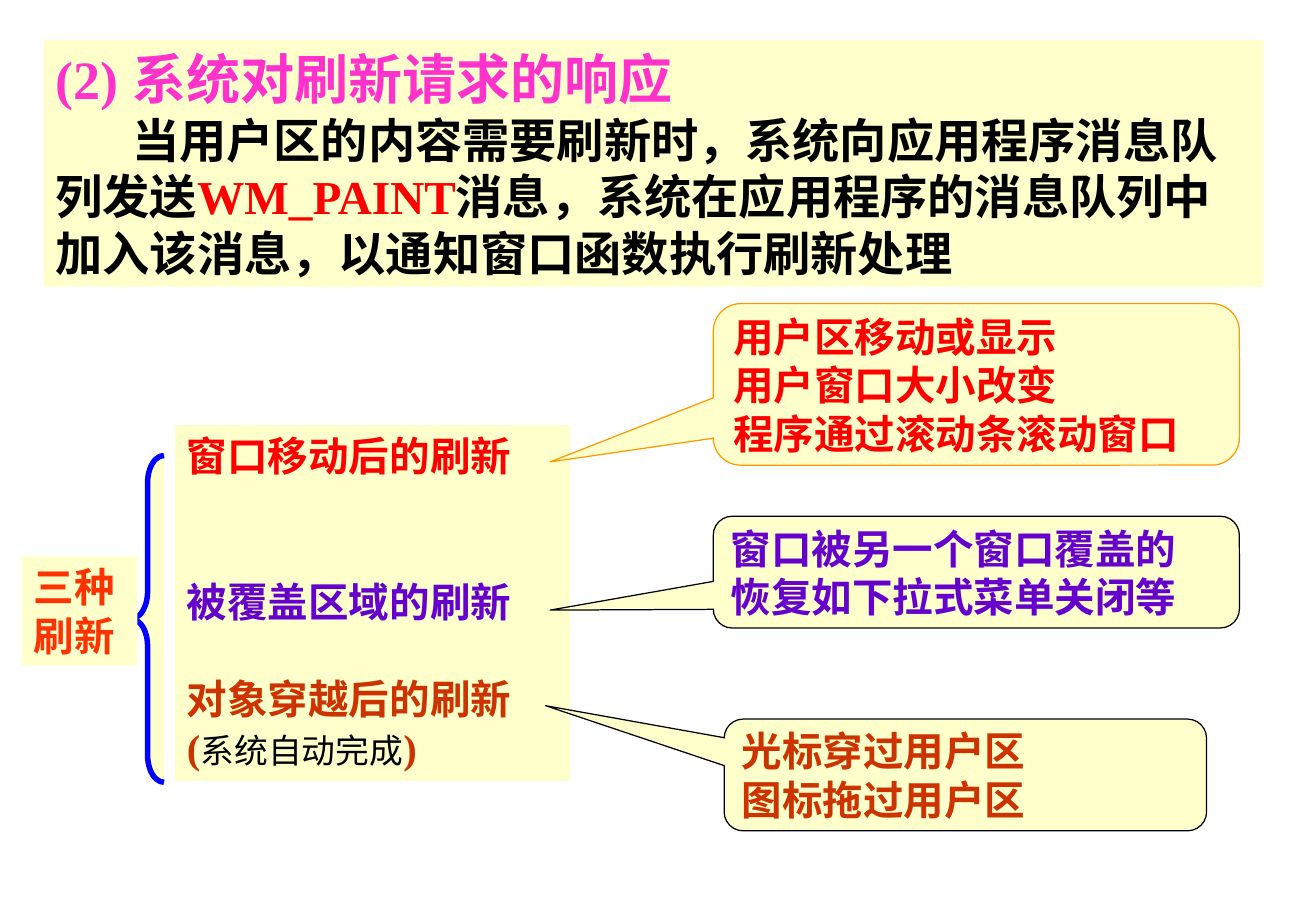
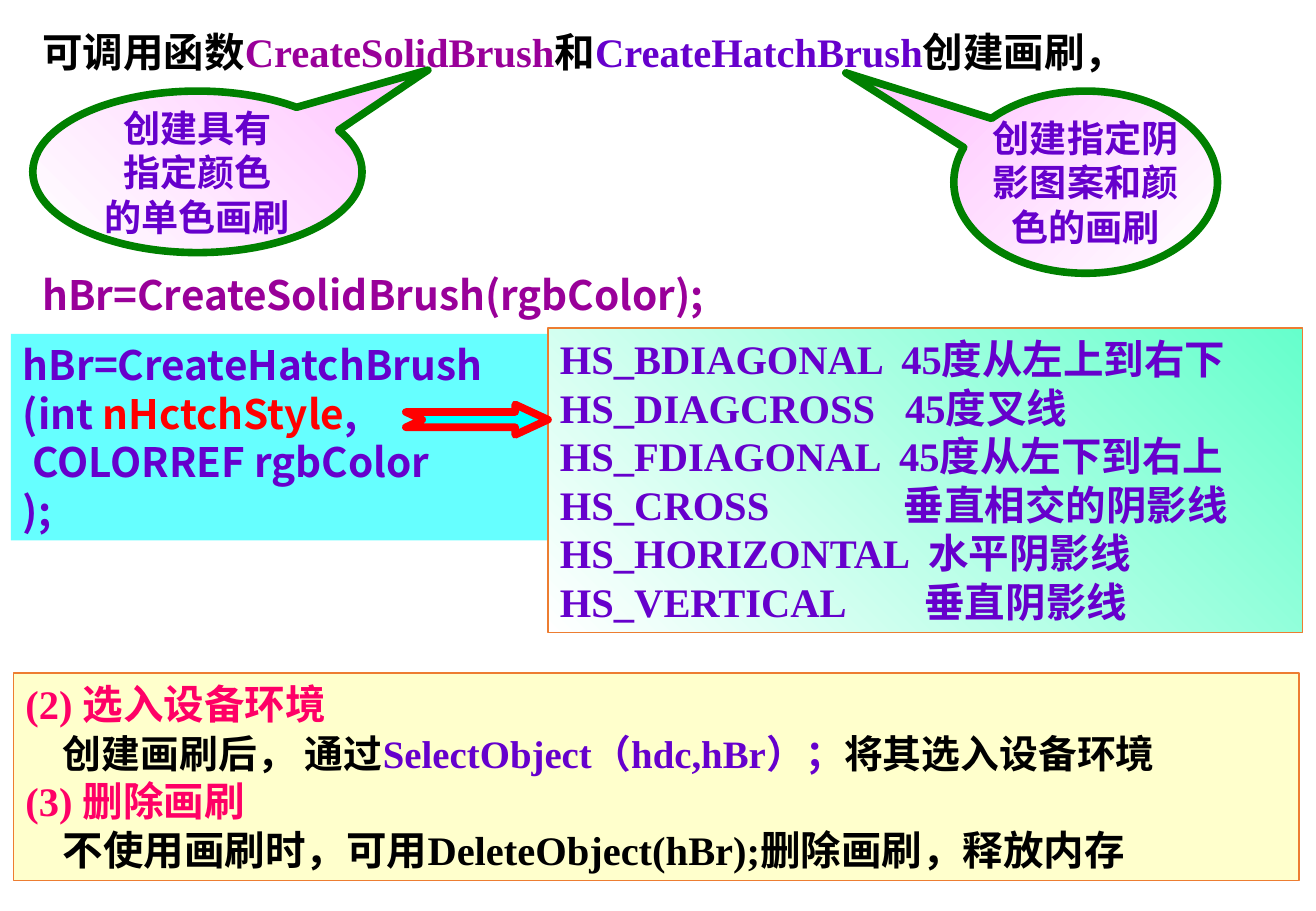
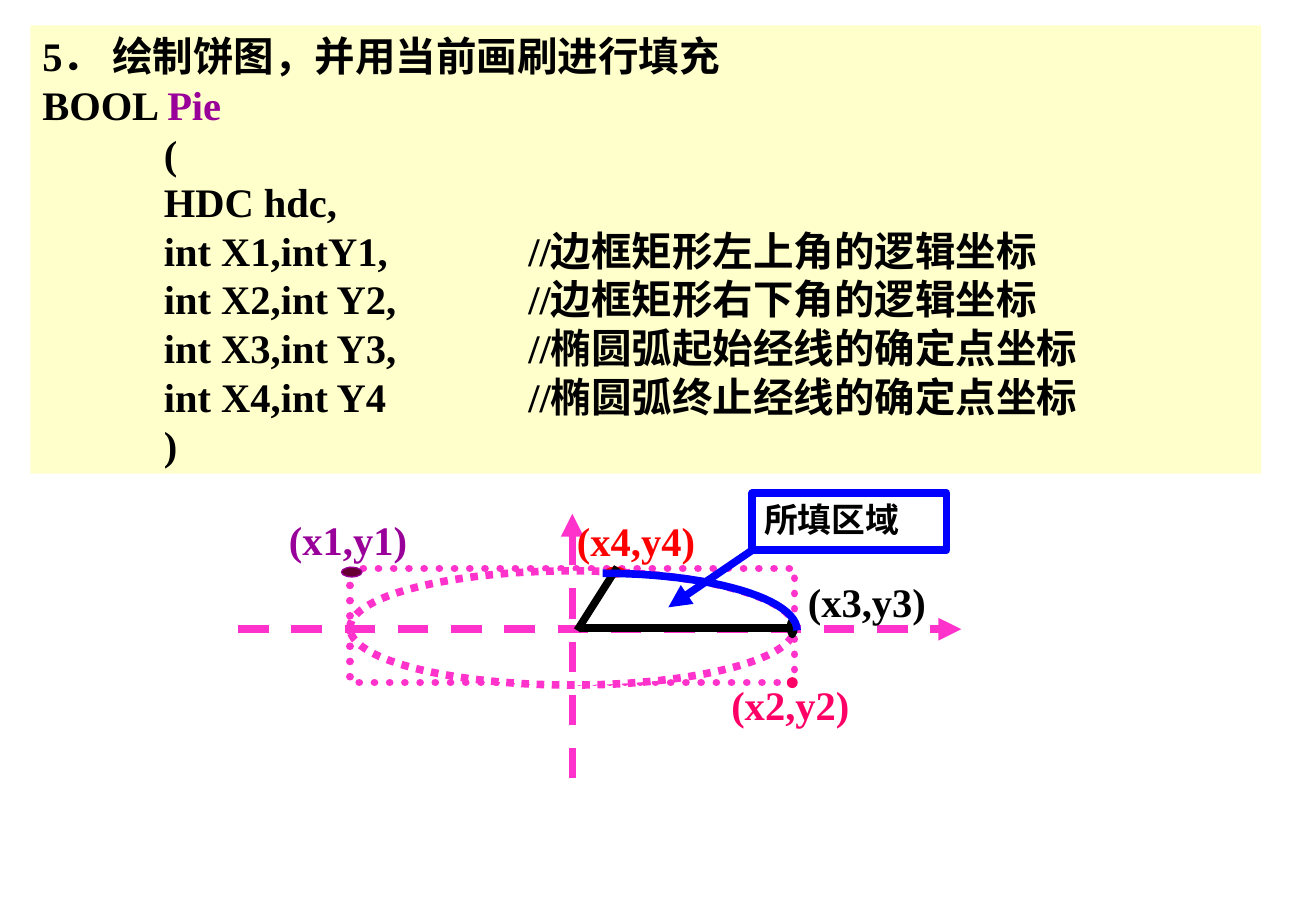
"""Build three lesson slides on window repainting, brushes and pie drawing."""
from math import cos, pi, sin

from lxml.etree import SubElement
from pptx import Presentation
from pptx.dml.color import RGBColor
from pptx.enum.dml import MSO_LINE
from pptx.enum.shapes import MSO_CONNECTOR, MSO_SHAPE
from pptx.enum.text import MSO_ANCHOR, PP_ALIGN
from pptx.oxml.ns import qn
from pptx.util import Pt

PX = 9144
SERIF = "Times New Roman"
SANS = "Noto Sans CJK SC"
BLACK = RGBColor(0x00, 0x00, 0x00)
WHITE = RGBColor(0xFF, 0xFF, 0xFF)
CREAM = RGBColor(0xFF, 0xFF, 0xCC)
RED = RGBColor(0xFF, 0x00, 0x00)
BLUE = RGBColor(0x00, 0x00, 0xFF)
GREEN = RGBColor(0x00, 0x80, 0x00)
PINK = RGBColor(0xFF, 0x33, 0xCC)
ROSE = RGBColor(0xFF, 0x00, 0x66)
BLUSH = RGBColor(0xFF, 0xCC, 0xFF)
PURPLE = RGBColor(0x66, 0x00, 0xCC)
PLUM = RGBColor(0x99, 0x00, 0x99)
WINE = RGBColor(0x66, 0x00, 0x33)
RUST = RGBColor(0xCC, 0x33, 0x00)
FLAME = RGBColor(0xFF, 0x33, 0x00)
AMBER = RGBColor(0xFF, 0x99, 0x00)
ORANGE = RGBColor(0xED, 0x7D, 0x31)
CYAN = RGBColor(0x00, 0xFF, 0xFF)
SKY = RGBColor(0x66, 0xFF, 0xFF)
MINT = RGBColor(0x66, 0xFF, 0xCC)


class Deck:
    """Hold the shared style and the current slide."""

    def __init__(self):
        self.show = Presentation()
        self.show.slide_width, self.show.slide_height = 1083 * PX, 750 * PX
        self.slide = None

    def page(self):
        """Start a blank slide."""
        self.slide = self.show.slides.add_slide(self.show.slide_layouts[6])

    def stroke(self, item, color, width, dash=None):
        """Set the outline of an item."""
        item.line.color.rgb = color
        item.line.width = Pt(width)
        if dash:
            item.line.dash_style = dash

    def box(self, at, fill=None, line=None, width=0.75, kind=MSO_SHAPE.RECTANGLE,
            adjust=(), dash=None, middle=False, wrap=True):
        """Add a shape; a fill of two colours and an angle is a gradient."""
        shape = self.slide.shapes.add_shape(kind, *(n * PX for n in at))
        shape.shadow.inherit = False
        for index, value in enumerate(adjust):
            shape.adjustments[index] = value
        if fill is None:
            shape.fill.background()
        elif isinstance(fill, RGBColor):
            shape.fill.solid()
            shape.fill.fore_color.rgb = fill
        else:
            shape.fill.gradient()
            shape.fill.gradient_angle = fill[2]
            for stop, color in zip(shape.fill.gradient_stops, fill):
                stop.color.rgb = color
        if line is None:
            shape.line.fill.background()
        else:
            self.stroke(shape, line, width, dash)
        frame = shape.text_frame
        frame.word_wrap = wrap
        frame.vertical_anchor = MSO_ANCHOR.MIDDLE if middle else MSO_ANCHOR.TOP
        return shape

    def text(self, box, *runs, size=24, font=SERIF, gap=0, indent=0, stops=(),
             align=PP_ALIGN.LEFT, pitch=1.2):
        """Add a paragraph; a run is text, colour, then size and weight."""
        frame = box.text_frame
        par = frame.paragraphs[0]
        if par.runs:
            par = frame.add_paragraph()
        props = par._p.get_or_add_pPr()
        if indent:
            props.set("marL", "0")
            props.set("indent", str(indent * PX))
        if stops:
            tabs = SubElement(props, qn("a:tabLst"))
            for stop in stops:
                SubElement(tabs, qn("a:tab"), pos=str(stop * PX), algn="l")
        par.alignment = align
        par.line_spacing = Pt(round(size * pitch, 1))
        par.space_before = Pt(gap)
        for words, color, *look in runs:
            run = par.add_run()
            run.text = words
            run.font.size = Pt(look[0] if look else size)
            run.font.bold = look[1] if len(look) > 1 else True
            run.font.color.rgb = color
            run.font.name = font
            SubElement(run.font._element, qn("a:ea"), typeface=SANS)

    def lines(self, box, texts, color, **look):
        """Add one paragraph of one colour for each text."""
        for words in texts:
            self.text(box, (words, color), **look)

    def link(self, x1, y1, x2, y2, color, dash=None, end=None):
        """Add a thick straight line, with an arrowhead at the named end."""
        line = self.slide.shapes.add_connector(
            MSO_CONNECTOR.STRAIGHT, x1 * PX, y1 * PX, x2 * PX, y2 * PX)
        self.stroke(line, color, 4.5, dash)
        props = line._element.spPr
        if end:
            SubElement(props.find(qn("a:ln")), qn(end), type="triangle")
        SubElement(props, qn("a:effectLst"))

    def curve(self, x, y, wide, high, color, steps=24):
        """Add a quarter of an ellipse around a centre."""
        turns = [pi / 2 * n / steps for n in range(steps + 1)]
        spots = [(round((x + wide * sin(t)) * PX), round((y - high * cos(t)) * PX))
                 for t in turns]
        trace = self.slide.shapes.build_freeform(*spots[0])
        trace.add_line_segments(spots[1:], close=False)
        arc = trace.convert_to_shape()
        arc.shadow.inherit = False
        arc.fill.background()
        self.stroke(arc, color, 4.5)

    def label(self, x, y, words, color):
        """Add the name of a point."""
        box = self.box((x, y, 117, 42), wrap=False)
        self.text(box, (words, color), pitch=0.96)


def refresh(deck):
    """Show how the system answers a repaint request."""
    deck.page()
    head = deck.box((36, 33, 1004, 203), CREAM)
    deck.text(head, ("(2) 系统对刷新请求的响应", PINK), size=32)
    deck.text(head, ("当用户区的内容需要刷新时，系统向应用程序消息队列发送", BLACK),
              ("WM_PAINT", RED),
              ("消息，系统在应用程序的消息队列中加入该消息，以通知窗口函数执行刷新处理", BLACK),
              size=28, indent=63)
    deck.box((108, 375, 27, 269), CREAM, BLUE, 3.25, MSO_SHAPE.LEFT_BRACE, (0.83, 0.5))
    deck.lines(deck.box((18, 458, 95, 90), CREAM), ("三种", "刷新"), FLAME)
    kinds = deck.box((144, 350, 325, 293), CREAM)
    deck.text(kinds, ("窗口移动后的刷新", RED))
    deck.text(kinds, ("被覆盖区域的刷新", PURPLE), gap=57.6)
    deck.text(kinds, ("对象穿越后的刷新", RUST), gap=28.8)
    deck.text(kinds, ("(", RUST), ("系统自动完成", BLACK, 20, False), (")", RUST))
    notes = (
        ((587, 250, 433, 133), (-0.81, 0.48), AMBER, RED,
         ("用户区移动或显示", "用户窗口大小改变", "程序通过滚动条滚动窗口")),
        ((587, 425, 433, 92), (-0.81, 0.34), BLACK, PURPLE,
         ("窗口被另一个窗口覆盖的", "恢复如下拉式菜单关闭等")),
        ((596, 592, 397, 92), (-0.87, -0.62), BLACK, RUST,
         ("光标穿过用户区", "图标拖过用户区")),
    )
    for at, tip, line, color, texts in notes:
        note = deck.box(at, CREAM, line, kind=MSO_SHAPE.ROUNDED_RECTANGULAR_CALLOUT,
                        adjust=(*tip, 0.17), middle=True)
        deck.lines(note, texts, color)


def brush(deck):
    """Show how a brush is made, selected and deleted."""
    deck.page()
    head = deck.box((25, 17, 1031, 250), WHITE)
    deck.text(head, ("可调用函数", BLACK), ("CreateSolidBrush", PLUM), ("和", BLACK),
              ("CreateHatchBrush", PURPLE), ("创建画刷，", BLACK))
    deck.text(head, ("hBr=CreateSolidBrush(rgbColor);", PLUM), font=SANS, gap=115.2)
    clouds = (
        ((27, 75, 271, 133), (0.7, -0.63), (WHITE, BLUSH, 45),
         ("创建具有", "指定颜色", "的单色画刷")),
        ((785, 75, 217, 150), (-0.91, -0.6), (BLUSH, WHITE, 315),
         ("创建指定阴", "影图案和颜", "色的画刷")),
    )
    for at, tip, fill, texts in clouds:
        cloud = deck.box(at, fill, GREEN, 4.5, MSO_SHAPE.OVAL_CALLOUT, tip,
                         middle=True, wrap=False)
        deck.lines(cloud, texts, PURPLE, size=22, align=PP_ALIGN.CENTER)
    steps = deck.box((11, 554, 1058, 171), CREAM, ORANGE)
    deck.text(steps, ("(2) 选入设备环境", ROSE))
    deck.text(steps, ("创建画刷后， 通过", BLACK, 23),
              ("SelectObject（hdc,hBr）；", PURPLE, 23),
              ("将其选入设备环境", BLACK, 23), indent=31)
    deck.text(steps, ("(3) 删除画刷", ROSE))
    deck.text(steps, ("不使用画刷时，可用DeleteObject(hBr);删除画刷，释放内存", BLACK),
              indent=31)
    code = deck.box((9, 275, 455, 170), SKY)
    deck.text(code, ("hBr=CreateHatchBrush", PURPLE), font=SANS)
    deck.text(code, ("(int ", PURPLE), ("nHctchStyle", RED), (",", PURPLE), font=SANS)
    deck.lines(code, (" COLORREF rgbColor", ");"), PURPLE, font=SANS)
    table = deck.box((451, 270, 621, 251), (WHITE, MINT, 45), ORANGE)
    styles = (
        ("HS_BDIAGONAL\t45度从左上到右下", 281),
        ("HS_DIAGCROSS\t45度叉线", 284),
        ("HS_FDIAGONAL\t45度从左下到右上", 279),
        ("HS_CROSS\t垂直相交的阴影线", 283),
        ("HS_HORIZONTAL\t水平阴影线", 303),
        ("HS_VERTICAL\t垂直阴影线", 300),
    )
    for words, stop in styles:
        deck.text(table, (words, PURPLE), stops=(stop,))
    deck.box((334, 333, 117, 25), CYAN, RED, 4.5, MSO_SHAPE.NOTCHED_RIGHT_ARROW,
             (0.5, 1.08))


def pie(deck):
    """Show the pie function and the region it fills."""
    deck.page()
    code = deck.box((25, 21, 1013, 369), CREAM)
    deck.text(code, ("5． 绘制饼图，并用当前画刷进行填充", BLACK))
    deck.text(code, ("BOOL ", BLACK), ("Pie", PLUM))
    deck.lines(code, (
        "\t(",
        "\tHDC hdc,",
        "\tint X1,intY1,\t//边框矩形左上角的逻辑坐标",
        "\tint X2,int Y2,\t//边框矩形右下角的逻辑坐标",
        "\tint X3,int Y3,\t//椭圆弧起始经线的确定点坐标",
        "\tint X4,int Y4\t//椭圆弧终止经线的确定点坐标",
        "\t)",
    ), BLACK, stops=(100, 400))
    dots = MSO_LINE.ROUND_DOT
    frame = deck.box((288, 468, 366, 94), WHITE, PINK, 4.5, dash=dots)
    frame._element.spPr.find(qn("a:ln")).set("cap", "rnd")
    deck.box((288, 470, 366, 94), WHITE, PINK, 4.5, MSO_SHAPE.OVAL, dash=dots)
    deck.link(196, 518, 791, 518, PINK, MSO_LINE.DASH, "a:tailEnd")
    deck.link(471, 423, 471, 658, PINK, MSO_LINE.DASH, "a:headEnd")
    points = (
        ((281, 467, 17, 8), WINE, PLUM),
        ((648, 558, 8, 8), ROSE, ROSE),
        ((648, 508, 8, 17), BLACK, BLACK),
        ((498, 467, 17, 8), RED, RED),
    )
    for at, fill, line in points:
        deck.box(at, fill, line, kind=MSO_SHAPE.OVAL)
    deck.label(228, 427, "(x1,y1)", PLUM)
    deck.label(592, 563, "(x2,y2)", ROSE)
    deck.label(655, 478, "(x3,y3)", BLACK)
    deck.label(465, 428, "(x4,y4)", RED)
    deck.link(475, 519, 508, 467, BLACK)
    deck.curve(496, 519, 160, 47, BLUE)
    deck.link(619, 453, 550, 500, BLUE, end="a:tailEnd")
    area = deck.box((619, 406, 160, 47), WHITE, BLUE, 4.5)
    deck.text(area, ("所填区域", BLACK), size=20)
    deck.link(477, 517, 650, 517, BLACK)


def main():
    """Build the slides and save them."""
    deck = Deck()
    for draw in (refresh, brush, pie):
        draw(deck)
    deck.show.save("out.pptx")


if __name__ == "__main__":
    main()
